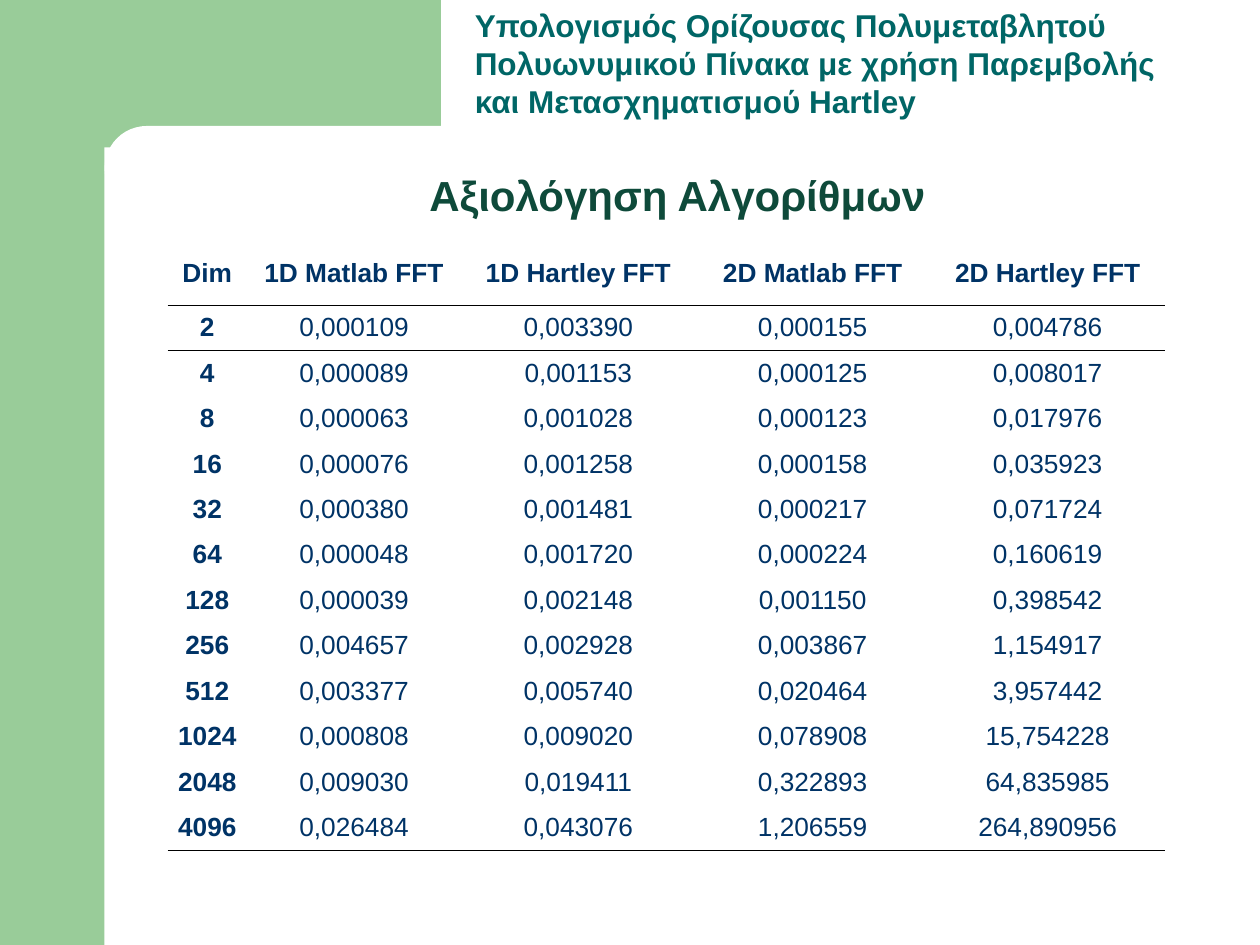
from lxml.etree import SubElement as Sub
from pptx import Presentation
from pptx.dml.color import RGBColor
from pptx.enum.shapes import MSO_SHAPE as Shape
from pptx.enum.text import MSO_ANCHOR as Anchor, PP_ALIGN as Align
from pptx.oxml.ns import qn
from pptx.util import Inches, Pt

HEAD = "Dim|1D Matlab FFT|1D Hartley FFT|2D Matlab FFT|2D Hartley FFT".split("|")
DATA = [line.split() for line in """\
2 0,000109 0,003390 0,000155 0,004786
4 0,000089 0,001153 0,000125 0,008017
8 0,000063 0,001028 0,000123 0,017976
16 0,000076 0,001258 0,000158 0,035923
32 0,000380 0,001481 0,000217 0,071724
64 0,000048 0,001720 0,000224 0,160619
128 0,000039 0,002148 0,001150 0,398542
256 0,004657 0,002928 0,003867 1,154917
512 0,003377 0,005740 0,020464 3,957442
1024 0,000808 0,009020 0,078908 15,754228
2048 0,009030 0,019411 0,322893 64,835985
4096 0,026484 0,043076 1,206559 264,890956""".splitlines()]
NO_STYLE = "{2D5ABB26-0587-4C30-8999-92F81FD0307C}"


def color(code):
    return RGBColor.from_string(code)


def apply(target, values):
    for name, value in values.items():
        setattr(target, name, value)


class Deck:
    font = "Arial"
    green = "99CC99"
    white = "FFFFFF"
    teal = "006666"
    dark = "0E4A3A"
    navy = "003366"
    black = "000000"

    def __init__(self, wide, high):
        self.file = Presentation()
        self.file.slide_width = Inches(wide)
        self.file.slide_height = Inches(high)
        self.slide = self.file.slides.add_slide(self.file.slide_layouts[6])

    def block(self, kind, area, fill):
        shape = self.slide.shapes.add_shape(kind, *map(Inches, area))
        shape.shadow.inherit = False
        shape.fill.solid()
        shape.fill.fore_color.rgb = color(fill)
        shape.line.fill.background()
        return shape

    def label(self, frame, words, size, ink, bold=True, **form):
        para = frame.paragraphs[0]
        apply(para, form)
        run = para.add_run()
        run.text = words
        apply(run.font, {"name": self.font, "size": Pt(size), "bold": bold})
        run.font.color.rgb = color(ink)

    def text(self, area, words, size, ink, anchor=Anchor.TOP, **form):
        frame = self.slide.shapes.add_textbox(*map(Inches, area)).text_frame
        apply(frame, {"word_wrap": True, "vertical_anchor": anchor})
        self.label(frame, words, size, ink, **form)

    def rule(self, cell, side):
        line = Sub(cell._tc.get_or_add_tcPr(), qn(f"a:{side}"), w=str(Pt(0.45)))
        fill = Sub(line, qn("a:solidFill"))
        Sub(fill, qn("a:srgbClr"), val=self.black)

    def table(self, area, widths, heights, rows):
        frame = self.slide.shapes.add_table(
            len(heights), len(widths), *map(Inches, area))
        table = frame.table
        apply(table, {"first_row": False, "horz_banding": False})
        table._tbl.tblPr.find(qn("a:tableStyleId")).text = NO_STYLE
        for col, width in zip(table.columns, widths):
            col.width = Inches(width)
        for row, height in zip(table.rows, heights):
            row.height = Inches(height)
        table.cell(0, 0).merge(table.cell(0, len(widths) - 1))
        sides = {1: "lnB", 2: "lnT", len(rows): "lnB"}
        for r, row in enumerate(rows, 1):
            for c, words in enumerate(row):
                self.cell(table.cell(r, c), words, r == 1 or c == 0, sides.get(r))
        for cell in table.iter_cells():
            cell.fill.background()

    def cell(self, cell, words, bold, side):
        apply(cell, {"margin_left": Inches(0.02), "margin_right": Inches(0.02),
                     "vertical_anchor": Anchor.MIDDLE})
        self.label(cell.text_frame, words, 15, self.navy, bold,
                   alignment=Align.CENTER)
        if side:
            self.rule(cell, side)


def main():
    deck = Deck(10, 7.5)
    deck.block(Shape.RECTANGLE, (0, 0, 0.83, 7.5), deck.green)
    deck.block(Shape.RECTANGLE, (0.75, 0, 2.75, 1.17), deck.green)
    panel = deck.block(Shape.ROUNDED_RECTANGLE, (0.83, 1, 5.58, 0.67), deck.white)
    panel.adjustments[0] = 0.5
    deck.text((3.67, 0, 5.67, 1),
              "Υπολογισμός Ορίζουσας Πολυμεταβλητού Πολυωνυμικού Πίνακα "
              "με χρήση Παρεμβολής και Μετασχηματισμού Hartley",
              18, deck.teal, space_before=Pt(11.2))
    high = 5.33
    step = (high - 2 * 0.5) / len(DATA)
    deck.table((1.33, 1.42, 7.92, high), [0.63, 1.7, 1.86, 1.86, 1.87],
               [0.5, 0.5] + [step] * len(DATA), [HEAD] + DATA)
    deck.text((1, 1.25, 8.75, 0.55), "Αξιολόγηση Αλγορίθμων", 24, deck.dark,
              Anchor.BOTTOM, alignment=Align.CENTER, line_spacing=0.9)
    deck.file.save("out.pptx")


if __name__ == "__main__":
    main()
